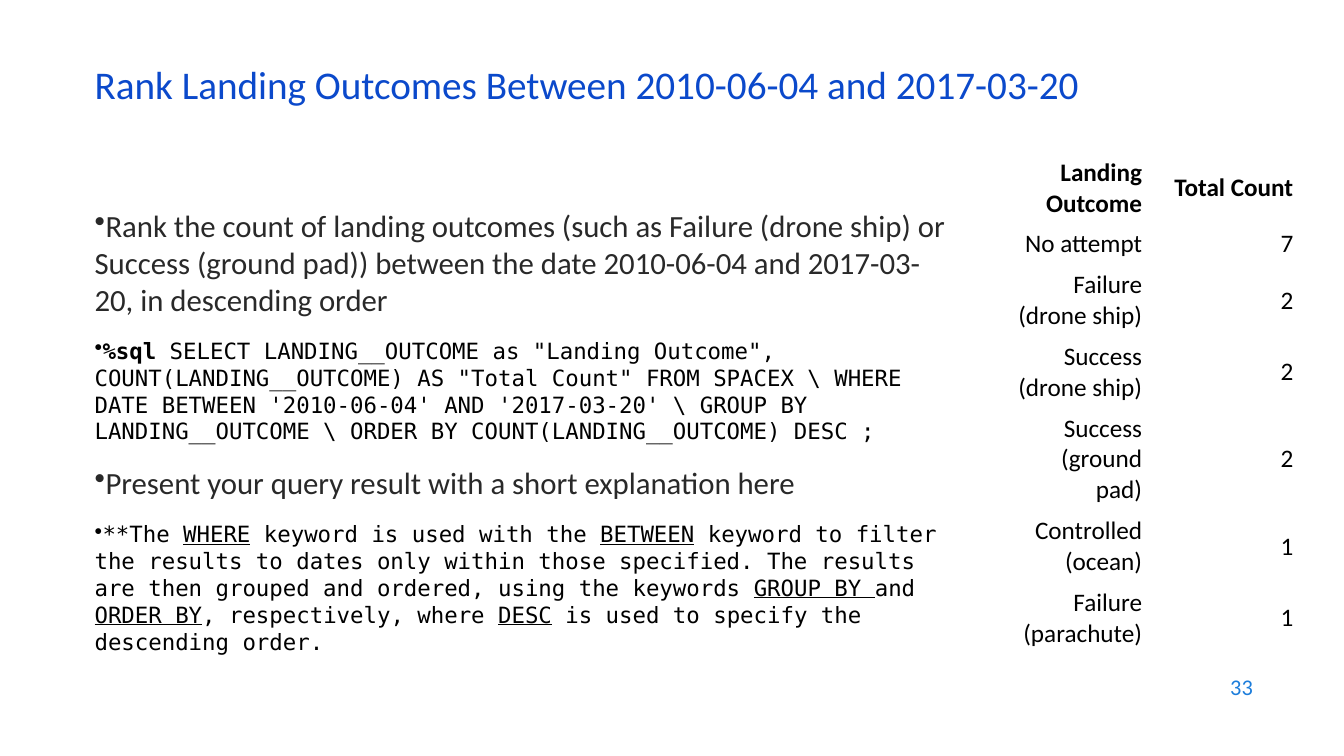
from lxml.etree import SubElement
from pptx import Presentation
from pptx.dml.color import RGBColor
from pptx.enum.text import MSO_ANCHOR, PP_ALIGN
from pptx.oxml.ns import qn
from pptx.util import Pt

TITLE = "Rank Landing Outcomes Between 2010-06-04 and 2017-03-20"
PAGE = "33"

# Each bullet is a list of (style, text) runs.
BULLETS = [
    [("body", "Rank the count of landing outcomes (such as Failure (drone ship) "
              "or Success (ground pad)) between the date 2010-06-04 and "
              "2017-03-20, in descending order")],
    [("magic", "%sql"),
     ("code", " SELECT LANDING__OUTCOME as \"Landing Outcome\", "
              "COUNT(LANDING__OUTCOME) AS \"Total Count\" FROM SPACEX \\ "
              "WHERE DATE BETWEEN '2010-06-04' AND '2017-03-20' \\ "
              "GROUP BY LANDING__OUTCOME \\ "
              "ORDER BY COUNT(LANDING__OUTCOME) DESC ;")],
    [("body", "Present your query result with a short explanation here")],
    [("code", "**The "), ("key", "WHERE"),
     ("code", " keyword is used with the "), ("key", "BETWEEN"),
     ("code", " keyword to filter the results to dates only within those "
              "specified. The results are then grouped and ordered, using "
              "the keywords "),
     ("key", "GROUP BY "), ("code", "and "), ("key", "ORDER BY"),
     ("code", ", respectively, where "), ("key", "DESC"),
     ("code", " is used to specify the descending order.")],
]

# Outcome, count, and the lines the outcome takes in its column.
ROWS = [
    ("Landing Outcome", "Total Count", 2),
    ("No attempt", "7", 1),
    ("Failure (drone ship)", "2", 2),
    ("Success (drone ship)", "2", 2),
    ("Success (ground pad)", "2", 3),
    ("Controlled (ocean)", "1", 2),
    ("Failure (parachute)", "1", 2),
]

SANS, MONO = "Calibri", "DejaVu Sans Mono"
CODE = dict(name=MONO, size=Pt(16), color="000000")
CELL = dict(name=SANS, size=Pt(18), color="000000")
THEME = {
    "title": dict(name=SANS, size=Pt(28), color="0B49CB"),
    "body": dict(name=SANS, size=Pt(22), color="292929"),
    "code": CODE,
    "magic": CODE | dict(bold=True),
    "key": CODE | dict(underline=True),
    "head": CELL | dict(bold=True),
    "cell": CELL | dict(bold=False),
    "page": dict(name=SANS, size=Pt(16), color="1C7DDB"),
    "fill": "FFFFFF",
}

LEFT = 60.5
GRID = dict(left=715, top=108.7, col=108, line=22, pad=7.2)
GAP = 14


def add_run(para, style, text):
    run = para.add_run()
    run.text = text
    for name, value in THEME[style].items():
        if name == "color":
            run.font.color.rgb = RGBColor.from_string(value)
        else:
            setattr(run.font, name, value)


def add_box(slide, left, top, width, height, anchor):
    box = slide.shapes.add_textbox(Pt(left), Pt(top), Pt(width), Pt(height))
    frame = box.text_frame
    frame.word_wrap = True
    frame.vertical_anchor = anchor
    return frame


def add_bullet(para):
    """Put the bullet directly before the text, with no hanging indent."""
    props = para._p.get_or_add_pPr()
    props.set("marL", "0")
    props.set("indent", "0")
    SubElement(props, qn("a:buChar")).set("char", "•")


def add_list(slide):
    frame = add_box(slide, LEFT, 144, 625.7, 79.2, MSO_ANCHOR.TOP)
    for i, runs in enumerate(BULLETS):
        para = frame.add_paragraph() if i else frame.paragraphs[0]
        add_bullet(para)
        if i:
            para.space_before = Pt(GAP)
        for style, text in runs:
            add_run(para, style, text)


def add_grid(slide):
    highs = [lines * GRID["line"] + GRID["pad"] for *_, lines in ROWS]
    table = slide.shapes.add_table(
        len(ROWS), 2, Pt(GRID["left"]), Pt(GRID["top"]),
        Pt(2 * GRID["col"]), Pt(sum(highs))).table
    table.horz_banding = False
    for col in table.columns:
        col.width = Pt(GRID["col"])
    for r, (*texts, _) in enumerate(ROWS):
        table.rows[r].height = Pt(highs[r])
        for c, text in enumerate(texts):
            cell = table.cell(r, c)
            cell.fill.solid()
            cell.fill.fore_color.rgb = RGBColor.from_string(THEME["fill"])
            cell.vertical_anchor = MSO_ANCHOR.MIDDLE
            para = cell.text_frame.paragraphs[0]
            para.alignment = PP_ALIGN.RIGHT
            add_run(para, "cell" if r else "head", text)


def main():
    deck = Presentation()
    deck.slide_width, deck.slide_height = Pt(960), Pt(540)
    slide = deck.slides.add_slide(deck.slide_layouts[6])

    page = add_box(slide, 686, 474.5, 216, 31.7, MSO_ANCHOR.MIDDLE).paragraphs[0]
    page.alignment = PP_ALIGN.RIGHT
    add_run(page, "page", PAGE)

    add_list(slide)

    title = add_box(slide, LEFT, 42.5, 828, 43.2, MSO_ANCHOR.MIDDLE).paragraphs[0]
    title.line_spacing = 0.7
    add_run(title, "title", TITLE)

    add_grid(slide)
    deck.save("out.pptx")


if __name__ == "__main__":
    main()
